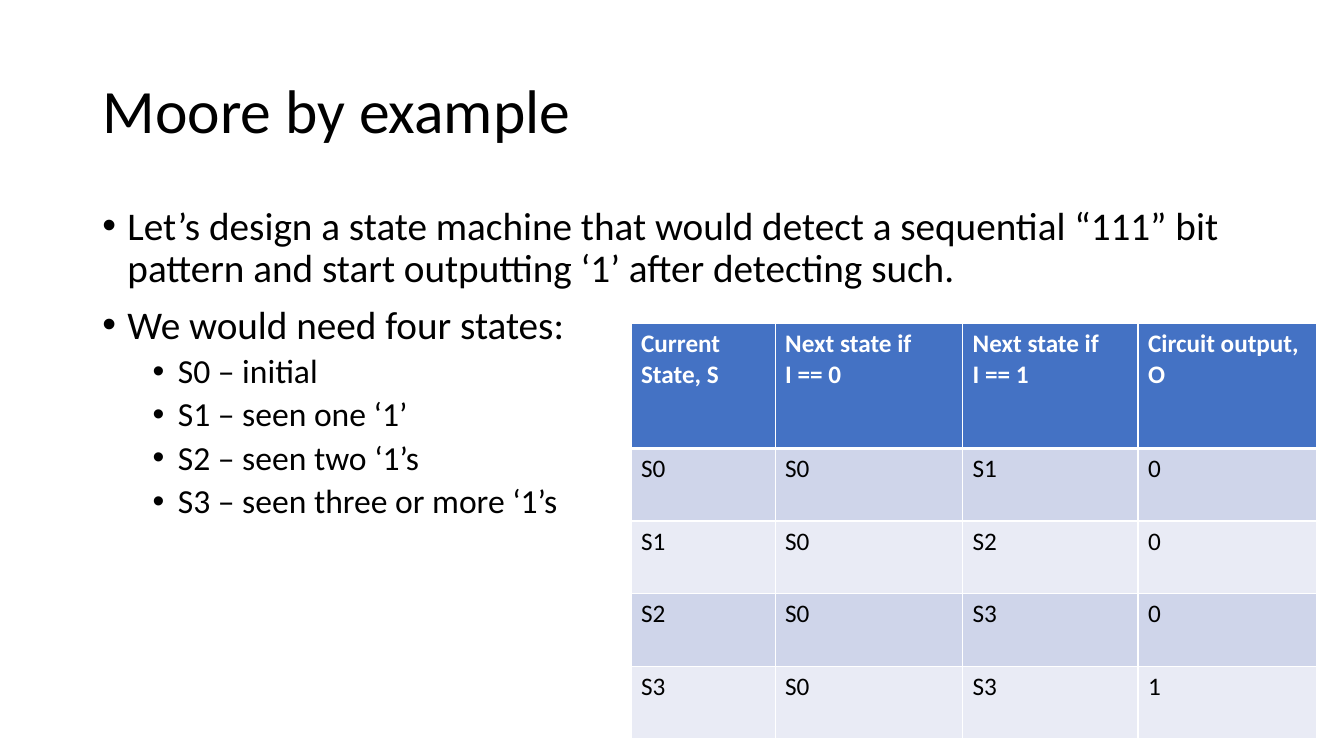
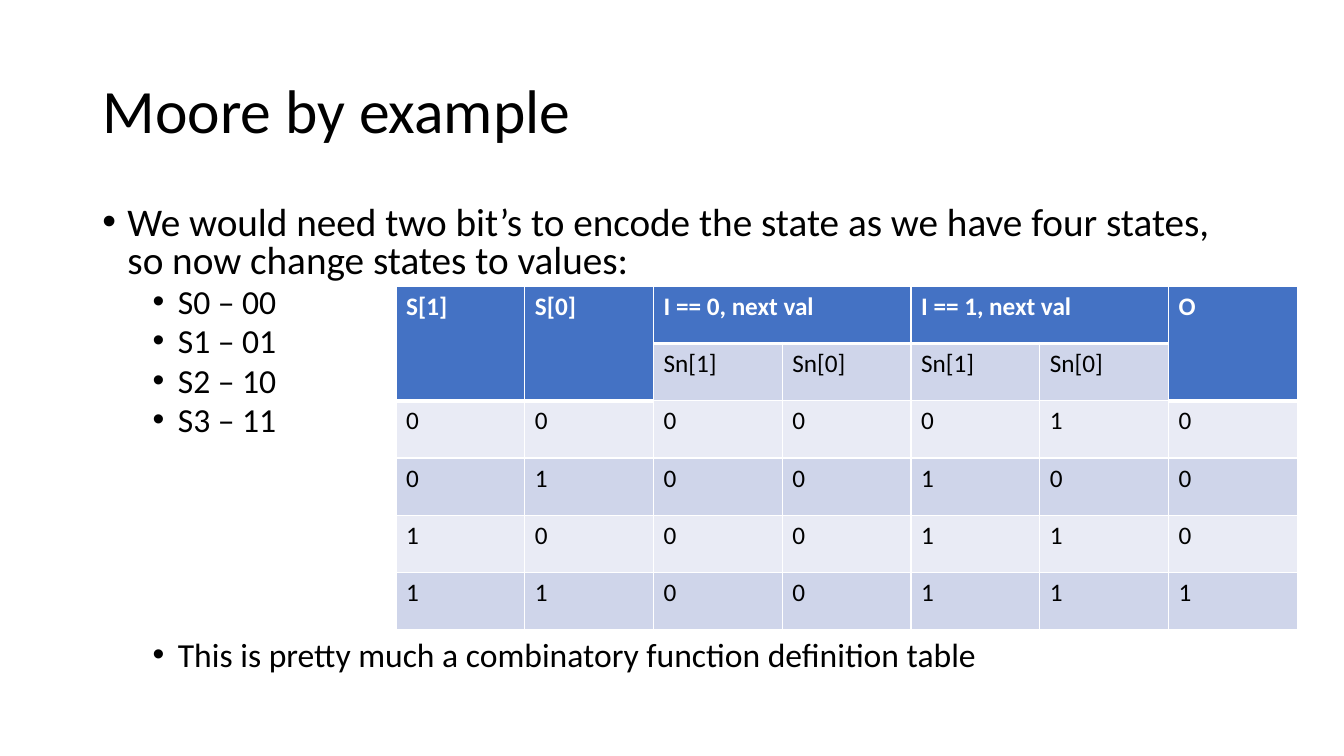
from lxml.etree import SubElement
from pptx import Presentation
from pptx.dml.color import RGBColor
from pptx.enum.text import MSO_ANCHOR as Anchor, MSO_AUTO_SIZE as AutoSize, PP_ALIGN as Align
from pptx.oxml.ns import qn
from pptx.util import Inches, Pt

COLUMNS, ROWS = 160, 90
UNIT = Inches(40 / 3) // COLUMNS
FONT = "Calibri"
INK, PAPER, HEADER = "000000", "FFFFFF", "4472C4"
BANDS = ["E9EBF5", "CFD5EA"]
TITLE_BOX = (11, 4.8, 138, 17.4)
LEVELS = [
    {"indent": 3, "size": 28, "before": 10},
    {"indent": 9, "size": 24, "before": 5},
]
HANGING = 3


def grid(*cells):
    return [round(UNIT * cell) for cell in cells]


def add_run(paragraph, text, size, colour=INK, bold=False):
    run = paragraph.add_run()
    run.text = text
    run.font.name = FONT
    run.font.size = Pt(size)
    run.font.bold = bold
    run.font.color.rgb = RGBColor.from_string(colour)


lessons = [
    {
        "body_box": (11, 24, 138, 57.12),
        "leading": 0.9,
        "last_gap": 5,
        "points": [
            (0, "Let’s design a state machine that would detect a sequential “111” bit "
                "pattern and start outputting ‘1’ after detecting such."),
            (0, "We would need four states:"),
            (1, "S0 – initial"),
            (1, "S1 – seen one ‘1’"),
            (1, "S2 – seen two ‘1’s"),
            (1, "S3 – seen three or more ‘1’s"),
        ],
        "origin": (75.12, 38.52),
        "widths": [17.16, 22.32, 20.88, 21.24],
        "heights": [14.88] + [8.64] * 4,
        "merges": [],
        "states": [
            ["Current State, S", "Next state if\nI == 0", "Next state if\nI == 1", "Circuit output,\nO"],
            ["S0", "S0", "S1", "0"],
            ["S1", "S0", "S2", "0"],
            ["S2", "S0", "S3", "0"],
            ["S3", "S0", "S3", "1"],
        ],
    },
    {
        "body_box": (11, 24, 138, 61.2),
        "leading": 0.8,
        "last_gap": 145,
        "points": [
            (0, "We would need two bit’s to encode the state as we have four states, "
                "so now change states to values:"),
            (1, "S0 – 00"),
            (1, "S1 – 01"),
            (1, "S2 – 10"),
            (1, "S3 – 11"),
            (1, "This is pretty much a combinatory function definition table"),
        ],
        "origin": (47.16, 34.08),
        "widths": [15.33] * 7,
        "heights": [6.82] * 6,
        "merges": [(0, 0, 1, 0), (0, 1, 1, 1), (0, 2, 0, 3), (0, 4, 0, 5), (0, 6, 1, 6)],
        "states": [
            ["S[1]", "S[0]", "I == 0, next val", "", "I == 1, next val", "", "O"],
            ["", "", "Sn[1]", "Sn[0]", "Sn[1]", "Sn[0]", ""],
            list("0000010"),
            list("0100100"),
            list("1000110"),
            list("1100111"),
        ],
    },
]

deck = Presentation()
deck.slide_width, deck.slide_height = grid(COLUMNS, ROWS)

for lesson in lessons:
    slide = deck.slides.add_slide(deck.slide_layouts[5])

    title = slide.shapes.title
    title.left, title.top, title.width, title.height = grid(*TITLE_BOX)
    title.text_frame.auto_size = AutoSize.NONE
    title.text_frame.vertical_anchor = Anchor.MIDDLE
    heading = title.text_frame.paragraphs[0]
    heading.alignment = Align.LEFT
    heading.line_spacing = 0.9
    add_run(heading, "Moore by example", 44)

    body = slide.shapes.add_textbox(*grid(*lesson["body_box"])).text_frame
    body.word_wrap = True
    final = len(lesson["points"]) - 1
    for index, (level, text) in enumerate(lesson["points"]):
        look = LEVELS[level]
        point = body.add_paragraph() if index else body.paragraphs[0]
        point.level = level
        point.line_spacing = lesson["leading"]
        if index:
            point.space_before = Pt(lesson["last_gap"] if index == final else look["before"])
        margin, hanging = grid(look["indent"], HANGING)
        settings = point._p.get_or_add_pPr()
        settings.set("marL", str(margin))
        settings.set("indent", str(-hanging))
        SubElement(settings, qn("a:buFont"), typeface="Arial")
        SubElement(settings, qn("a:buChar"), char="•")
        add_run(point, text, look["size"])

    widths, heights = grid(*lesson["widths"]), grid(*lesson["heights"])
    table = slide.shapes.add_table(
        len(heights), len(widths), *grid(*lesson["origin"]), sum(widths), sum(heights)
    ).table
    table.horz_banding = False
    for column, width in zip(table.columns, widths):
        column.width = width
    for row, height in zip(table.rows, heights):
        row.height = height
    for top, left, bottom, right in lesson["merges"]:
        table.cell(top, left).merge(table.cell(bottom, right))

    for row, values in enumerate(lesson["states"]):
        for column, value in enumerate(values):
            cell = table.cell(row, column)
            is_header = row == 0 or cell.is_spanned
            edges = {"L": 1, "R": 1, "T": 1, "B": 3 if is_header else 1}
            if row:
                del edges["T"]
            for side, weight in edges.items():
                edge = SubElement(cell._tc.get_or_add_tcPr(), qn(f"a:ln{side}"), w=str(Pt(weight)))
                SubElement(SubElement(edge, qn("a:solidFill")), qn("a:srgbClr"), val=PAPER)
            cell.fill.solid()
            cell.fill.fore_color.rgb = RGBColor.from_string(HEADER if is_header else BANDS[row % 2])
            if value:
                for index, line in enumerate(value.split("\n")):
                    frame = cell.text_frame
                    entry = frame.add_paragraph() if index else frame.paragraphs[0]
                    add_run(entry, line, 18, PAPER if is_header else INK, is_header)

deck.save("out.pptx")
